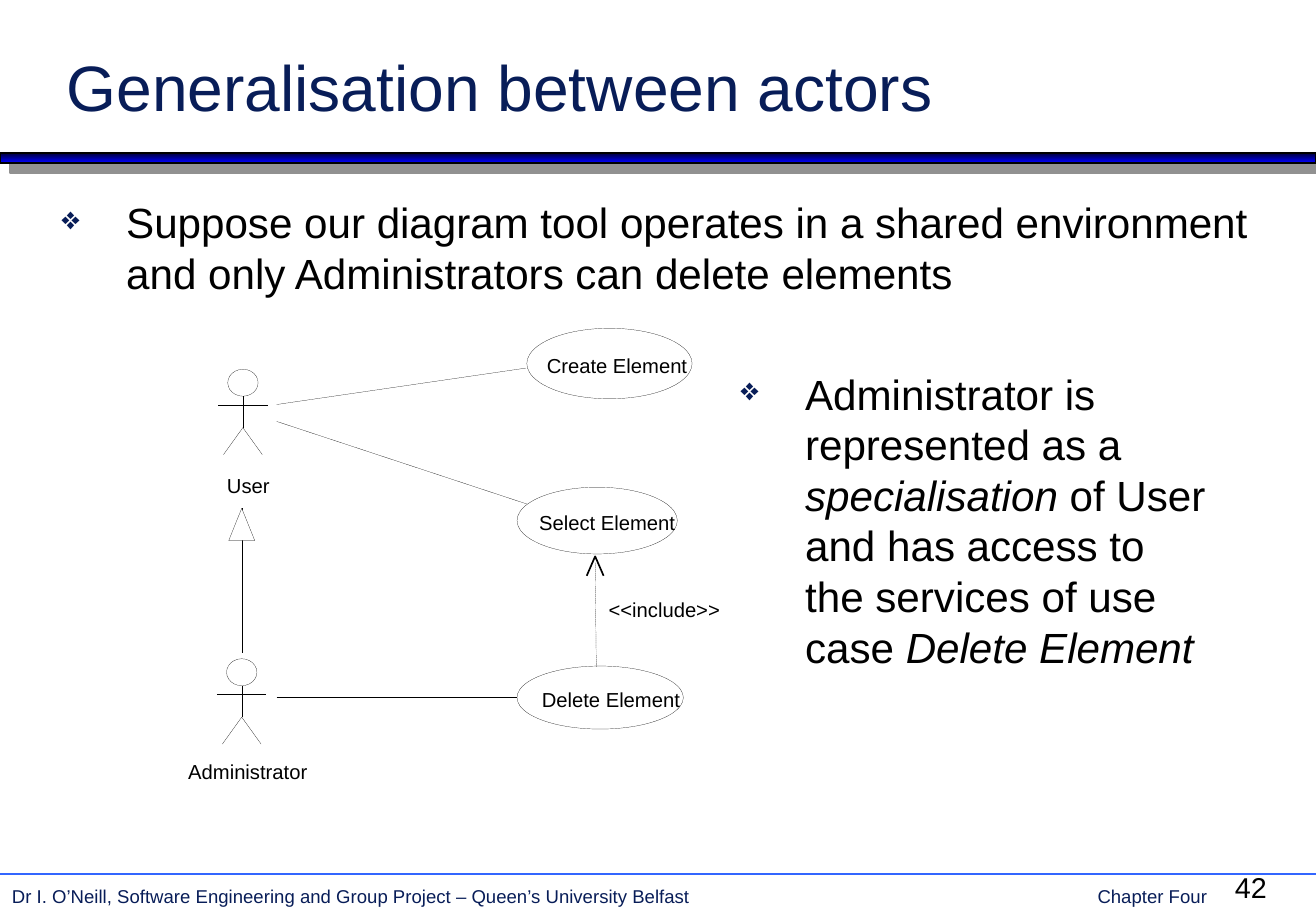
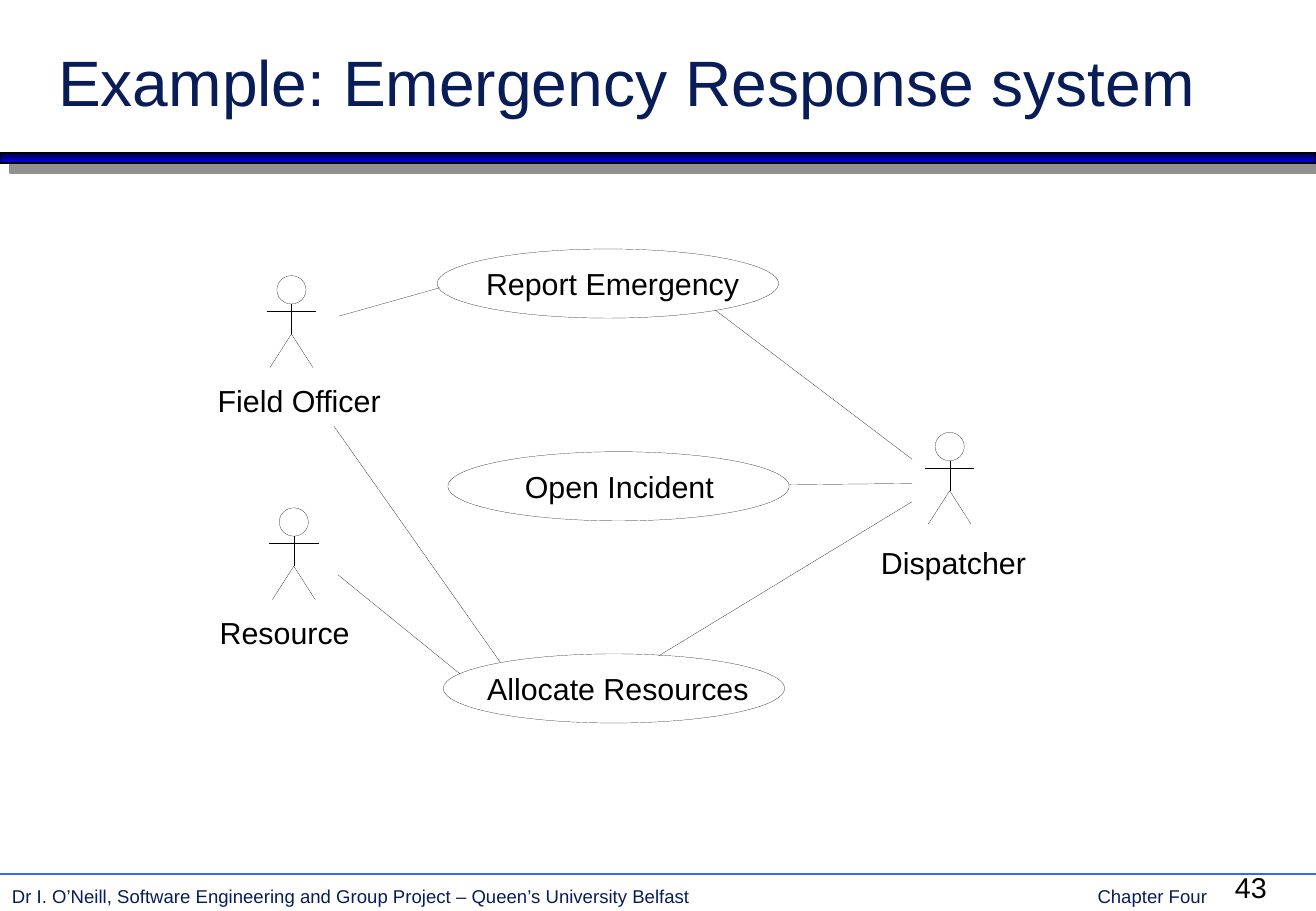
import pptx
import pptx.dml.color
import pptx.enum.dml
import pptx.enum.shapes
import pptx.enum.text
import pptx.oxml
import pptx.oxml.ns
import pptx.util

Pt = pptx.util.Pt
SHAPE = pptx.enum.shapes.MSO_SHAPE
ALIGN = pptx.enum.text.PP_ALIGN
ANCHOR = pptx.enum.text.MSO_ANCHOR

FONT = "Arial"
WIDE, HIGH = 780.13, 540
HAIR = 0.1
ARM, NECK, REACH = 21.2, 34.6, 14.7  # arm level, hip level, half arm span
COLORS = {
    "navy": "081D58",
    "black": "000000",
    "white": "FFFFFF",
    "dark": "000036",
    "blue": "0000FF",
    "rule": "3366FF",
    "shade": "919191",
}


def rgb(name):
    return pptx.dml.color.RGBColor.from_string(COLORS[name])


def node(tag, inner="", **attrs):
    """Make one DrawingML element."""
    text = "".join(f' {key}="{val}"' for key, val in attrs.items())
    space = pptx.oxml.ns.nsdecls("a")
    return pptx.oxml.parse_xml(f"<a:{tag} {space}{text}>{inner}</a:{tag}>")


def tint(name):
    return f'<a:srgbClr val="{COLORS[name]}"/>'


def style(shape, fill=None, width=HAIR):
    shape.shadow.inherit = False
    if fill:
        shape.fill.solid()
        shape.fill.fore_color.rgb = rgb(fill)
    else:
        shape.fill.background()
    shape.line.color.rgb = rgb("black")
    shape.line.width = Pt(width)


def line(slide, start, end, color="black", width=HAIR, dash=None):
    link = slide.shapes.add_connector(
        pptx.enum.shapes.MSO_CONNECTOR.STRAIGHT, *map(Pt, start + end))
    link.line.color.rgb = rgb(color)
    link.line.width = Pt(width)
    if dash:
        link.line.dash_style = dash
    link._element.spPr.append(node("effectLst"))


def path(slide, points, close=False, fill=None, width=HAIR):
    spots = [(Pt(x), Pt(y)) for x, y in points]
    form = slide.shapes.build_freeform(*spots[0], scale=1.0)
    form.add_line_segments(spots[1:], close=close)
    style(form.convert_to_shape(), fill, width)


def oval(slide, box):
    style(slide.shapes.add_shape(SHAPE.OVAL, *map(Pt, box)), "white")


def text(slide, box, runs, size, color="black", anchor=ANCHOR.TOP):
    """Add a one-paragraph box; runs are (words, italic) pairs."""
    frame = slide.shapes.add_textbox(*map(Pt, box)).text_frame
    frame.word_wrap = True
    frame.vertical_anchor = anchor
    para = frame.paragraphs[0]
    for words, slant in runs:
        run = para.add_run()
        run.text = words
        run.font.name = FONT
        run.font.size = Pt(size)
        run.font.italic = slant
        run.font.color.rgb = rgb(color)
    return frame


def label(slide, words, mid, top, size):
    """Centre one unwrapped line on mid."""
    wide = len(words) * size * 0.55
    box = (mid - wide / 2, top, wide, size * 1.2)
    frame = text(slide, box, [(words, False)], size)
    frame.word_wrap = False
    frame.margin_left = frame.margin_right = 0
    frame.margin_top = frame.margin_bottom = 0
    frame.paragraphs[0].alignment = ALIGN.CENTER


def bullet(slide, box, runs):
    para = text(slide, box, runs, 25).paragraphs[0]
    props = para._p.get_or_add_pPr()
    props.set("marL", str(Pt(38.2)))
    props.set("indent", str(-Pt(38.2)))
    props.append(node("buClr", tint("navy")))
    props.append(node("buSzPct", val=75000))
    props.append(node("buChar", char="❖"))


def case(slide, words, box, mid, size):
    """Draw a use case: an oval with its name."""
    oval(slide, box)
    label(slide, words, mid, box[1] + box[3] / 2 - size * 0.8 + 3.6, size)


def actor(slide, words, mid, top, head, foot, name, size):
    """Draw a stick figure; name is the (mid, top) of its label."""
    wide, high = head
    oval(slide, (mid - wide / 2, top, wide, high))
    hip = top + NECK
    line(slide, (mid, top + high), (mid, hip))
    line(slide, (mid - REACH, top + ARM), (mid + REACH, top + ARM))
    half, drop = foot
    path(slide, [(mid - half, top + drop), (mid, hip),
                 (mid + half, top + drop)])
    label(slide, words, *name, size)


def band(slide):
    bar = slide.shapes.add_shape(SHAPE.RECTANGLE, 0, Pt(90.7), Pt(780), Pt(5.8))
    style(bar, width=1)
    bar.fill.gradient()
    bar.fill.gradient_angle = 270
    for stop, name in zip(bar.fill.gradient_stops, ("dark", "blue")):
        stop.color.rgb = rgb(name)
    shade = node("outerShdw", tint("shade"), blurRad=0, dist=Pt(8.5),
                 dir=45 * 60000, algn="ctr", rotWithShape=0)
    bar._element.spPr.find(pptx.oxml.ns.qn("a:effectLst")).append(shade)


def footer(slide, page):
    line(slide, (0, 517.9), (780, 517.9), "rule", 1)
    words = ("Dr I. O’Neill, Software Engineering and Group Project"
             " – Queen’s University Belfast\tChapter Four")
    frame = text(slide, (0, 520.8, 729.4, 20.9), [(words, False)], 11, "navy")
    stop = f'<a:tab pos="{Pt(708.6)}" algn="r"/>'
    frame.paragraphs[0]._p.get_or_add_pPr().append(node("tabLst", stop))
    text(slide, (725, 512.3, 39, 28), [(str(page), False)], 17)


def base(deck, title, box, page):
    """Add a slide with everything that all slides share."""
    slide = deck.slides.add_slide(deck.slide_layouts[6])
    band(slide)
    footer(slide, page)
    text(slide, box, [(title, False)], 38, "navy", ANCHOR.BOTTOM)
    return slide


def share(deck):
    slide = base(deck, "Generalisation between actors",
                 (32.4, 20.9, 666, 56.2), 42)
    bullet(slide, (29.5, 113, 719.3, 385), [
        ("Suppose our diagram tool operates in a shared environment "
         "and only Administrators can delete elements", False)])
    bullet(slide, (432, 214.6, 294.5, 187), [
        ("Administrator is represented as a ", False),
        ("specialisation", True),
        (" of User and has access to the services of use case ", False),
        ("Delete Element", True)])

    for words, box, mid in (
            ("Create Element", (312.3, 194.6, 98, 41.8), 365.8),
            ("Select Element", (306.5, 288.8, 95, 39.6), 360),
            ("Delete Element", (306.5, 394.8, 98.6, 37.4), 362.2)):
        case(slide, words, box, mid, 12)
    for words, mid, top, name in (
            ("User", 144, 218.9, (147.2, 280.8)),
            ("Administrator", 143.3, 390.5, (146.9, 450))):
        actor(slide, words, mid, top, (18, 16), (11.5, 50.6), name, 12)
    for start, end in (((164, 239.8), (311.8, 218.2)),
                       ((164, 249.8), (312.5, 298.8)),
                       ((164, 413), (306.5, 413)),
                       ((143.3, 386.8), (143.3, 301.3))):
        line(slide, start, end)
    path(slide, [(143.3, 301.3), (151, 320.4), (135.6, 320.4)], True, "white")

    line(slide, (353.5, 395.3), (352.8, 333.4),
         dash=pptx.enum.dml.MSO_LINE.LONG_DASH)
    path(slide, [(347.8, 341.3), (352.8, 329.8), (357.8, 341.3)], width=1)
    label(slide, "<<include>>", 393.8, 354.2, 12)


def rescue(deck):
    slide = base(deck, "Example: Emergency Response system",
                 (27.4, 18, 729.4, 56.2), 43)
    for words, left, top, mid in (
            ("Report Emergency", 259.2, 147.6, 363.2),
            ("Open Incident", 265.5, 267.8, 367.2),
            ("Allocate Resources", 262.8, 387.6, 366.3)):
        case(slide, words, (left, top, 202.3, 41), mid, 18)
    for words, mid, top, name in (
            ("Field Officer", 172.8, 163.4, (177.4, 226.8)),
            ("Resource", 174.2, 301, (168.8, 364.3)),
            ("Dispatcher", 563, 256.3, (565.2, 322.8))):
        actor(slide, words, mid, top, (17.3, 16.8), (12.7, 54.4), name, 18)
    for start, end in (((260.6, 170.6), (200.9, 187.4)),
                       ((424, 183.8), (540.7, 272.2)),
                       ((468, 287.3), (540.7, 286.6)),
                       ((540.7, 297.4), (390.4, 388.8)),
                       ((272.9, 399.6), (200.2, 340.6)),
                       ((296.6, 392.6), (198, 252.7))):
        line(slide, start, end)


def main():
    deck = pptx.Presentation()
    deck.slide_width, deck.slide_height = Pt(WIDE), Pt(HIGH)
    share(deck)
    rescue(deck)
    deck.save("out.pptx")


if __name__ == "__main__":
    main()
